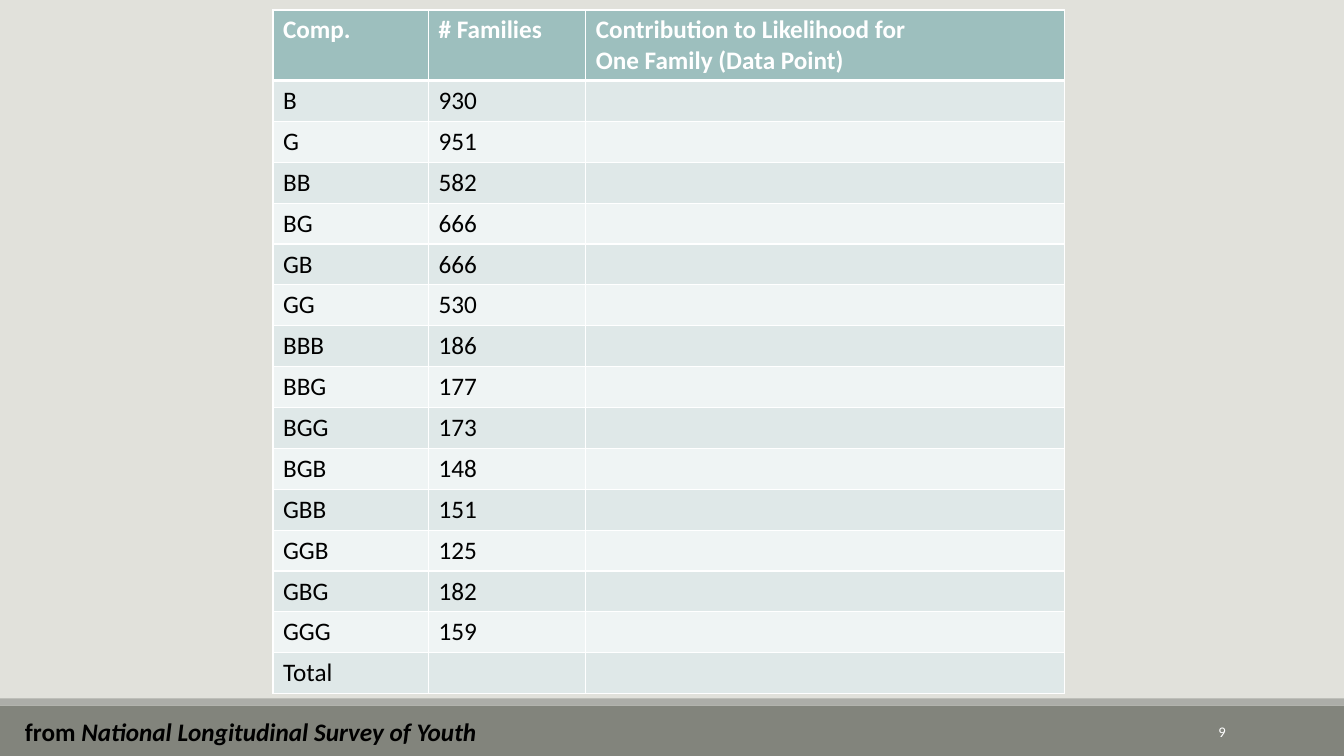
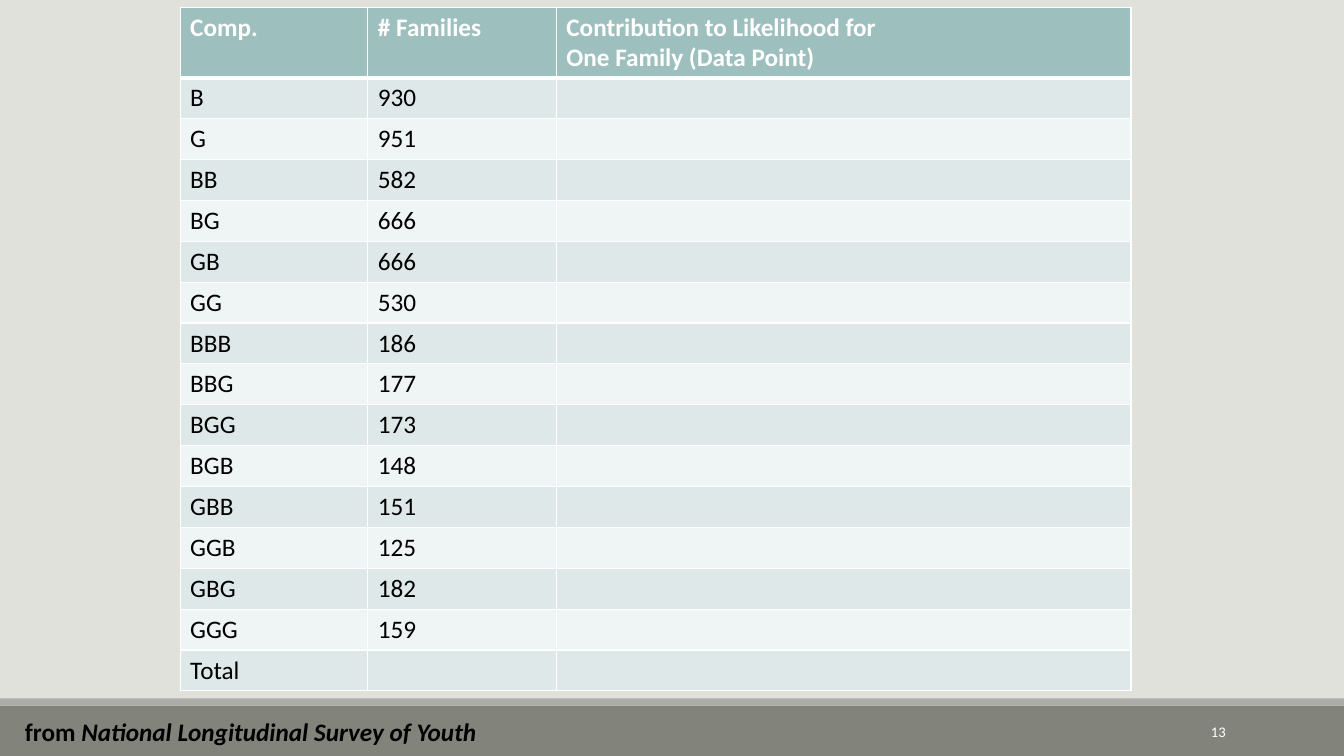
import pptx
import pptx.util
import pptx.oxml
import pptx.dml.color
import pptx.enum.shapes
import pptx.enum.text

Cm, Pt = pptx.util.Cm, pptx.util.Pt
RGBColor = pptx.dml.color.RGBColor

# Colours and font
PAPER = RGBColor(0xE1, 0xE1, 0xDB)
BAND = RGBColor(0x82, 0x84, 0x7C)
STRIP = RGBColor(0xAC, 0xAD, 0xA8)
HEAD = RGBColor(0x9D, 0xBF, 0xBE)
ODD = RGBColor(0xDF, 0xE8, 0xE8)
EVEN = RGBColor(0xEF, 0xF4, 0xF4)
WHITE = RGBColor(0xFF, 0xFF, 0xFF)
BLACK = RGBColor(0x00, 0x00, 0x00)
FONT = "Calibri"

# Table content
rows = [
    ("Comp.", "# Families", "Contribution to Likelihood for\vOne Family (Data Point)"),
    ("B", "930", ""), ("G", "951", ""),
    ("BB", "582", ""), ("BG", "666", ""), ("GB", "666", ""), ("GG", "530", ""),
    ("BBB", "186", ""), ("BBG", "177", ""), ("BGG", "173", ""), ("BGB", "148", ""),
    ("GBB", "151", ""), ("GGB", "125", ""), ("GBG", "182", ""), ("GGG", "159", ""),
    ("Total", "", ""),
]
HEAD_H, ROW_H = 1.77, 1.03

# Page number, table left and top, column widths
pages = [
    ("9", 6.88, 0.25, (3.92, 3.96, 12.06)),
    ("13", 4.54, 0.18, (4.73, 4.75, 14.48)),
]

# Bands at the foot: top, height, colour
bands = [(17.78, 1.27, BAND), (17.6, 0.18, STRIP)]


def style(para, size, color, bold=False):
    font = para.font
    font.name, font.size, font.bold = FONT, Pt(size), bold
    font.color.rgb = color


def edge(cell, base):
    props = cell._tc.get_or_add_tcPr()
    for side, width in (("L", 1), ("R", 1), ("T", 1), ("B", base)):
        props.append(pptx.oxml.parse_xml(
            f'<a:ln{side} xmlns:a="http://schemas.openxmlformats.org/drawingml/2006/main"'
            f' w="{Pt(width)}"><a:solidFill><a:srgbClr val="{WHITE}"/></a:solidFill>'
            f'</a:ln{side}>'))


deck = pptx.Presentation()
deck.slide_width, deck.slide_height = Cm(33.87), Cm(19.05)
paper = deck.slide_master.background.fill
paper.solid()
paper.fore_color.rgb = PAPER

for number, left, top, widths in pages:
    slide = deck.slides.add_slide(deck.slide_layouts[6])
    shapes = slide.shapes

    # Foot bands
    for y, height, color in bands:
        band = shapes.add_shape(pptx.enum.shapes.MSO_SHAPE.RECTANGLE,
                                0, Cm(y), deck.slide_width, Cm(height))
        band.shadow.inherit = False
        band.fill.solid()
        band.fill.fore_color.rgb = color
        band.line.fill.background()

    # Page number
    frame = shapes.add_textbox(Cm(27.51), Cm(17.93), Cm(3.63), Cm(1.02)).text_frame
    frame.word_wrap = True
    frame.vertical_anchor = pptx.enum.text.MSO_ANCHOR.MIDDLE
    para = frame.paragraphs[0]
    para.text = number
    para.alignment = pptx.enum.text.PP_ALIGN.RIGHT
    style(para, 10.5, WHITE)

    # Table of families
    height = HEAD_H + ROW_H * (len(rows) - 1)
    table = shapes.add_table(len(rows), len(widths), Cm(left), Cm(top),
                             Cm(sum(widths)), Cm(height)).table
    for column, width in zip(table.columns, widths):
        column.width = Cm(width)
    for r, row in enumerate(rows):
        first = r == 0
        table.rows[r].height = Cm(HEAD_H if first else ROW_H)
        for c, text in enumerate(row):
            cell = table.cell(r, c)
            edge(cell, 3 if first else 1)
            cell.fill.solid()
            cell.fill.fore_color.rgb = HEAD if first else ODD if r % 2 else EVEN
            para = cell.text_frame.paragraphs[0]
            para.text = text
            style(para, 18, WHITE if first else BLACK, first)

    # Source line
    frame = shapes.add_textbox(Cm(0.38), Cm(17.93), Cm(15.98), Cm(1.02)).text_frame
    frame.word_wrap = True
    para = frame.paragraphs[0]
    style(para, 18, BLACK, True)
    para.add_run().text = "from "
    survey = para.add_run()
    survey.text = "National Longitudinal Survey of Youth"
    survey.font.italic = True

deck.save("out.pptx")
